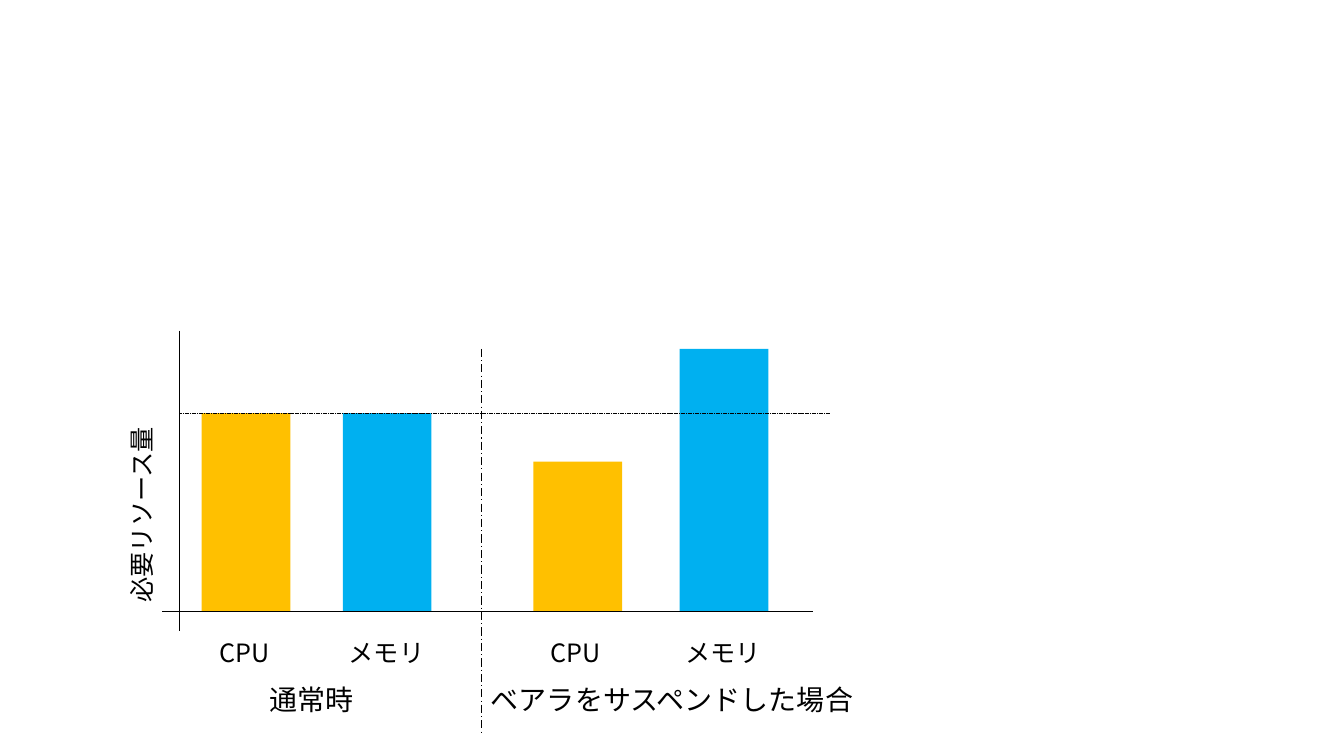
from dataclasses import dataclass

from lxml.etree import SubElement
from pptx import Presentation
from pptx.dml.color import RGBColor
from pptx.enum.dml import MSO_LINE
from pptx.enum.shapes import MSO_CONNECTOR, MSO_SHAPE
from pptx.enum.text import MSO_AUTO_SIZE
from pptx.oxml.ns import qn
from pptx.util import Inches, Pt


@dataclass(frozen=True)
class Theme:
    font: str = "Noto Sans CJK JP"
    ink: RGBColor = RGBColor(0, 0, 0)
    cpu: RGBColor = RGBColor(0xFF, 0xC0, 0x00)
    memory: RGBColor = RGBColor(0x00, 0xB0, 0xF0)
    label_size: int = 18
    case_size: int = 20


theme = Theme()

KINDS = {"CPU": (theme.cpu, 0.73), "メモリ": (theme.memory, 0.96)}
BARS = [
    ("CPU", 2.0, 1.97),
    ("メモリ", 3.4, 1.97),
    ("CPU", 5.29, 1.49),
    ("メモリ", 6.74, 2.61),
]
CASES = [("通常時", 2.57, 1.04), ("ベアラをサスペンドした場合", 4.77, 3.85)]
AXIS_TITLE = "必要リソース量"

BAR_WIDTH = 0.88
BASE = 6.07
AXIS_X = 1.78
LEVEL = BASE - BARS[0][2]
AXIS_LENGTH = 6.45
DIVIDER_X = 4.78
LABEL_TOP, LABEL_HEIGHT = 6.27, 0.4
CASE_TOP, CASE_HEIGHT = 6.72, 0.44

DIVIDER = (DIVIDER_X, 3.46, DIVIDER_X, 7.27, 0.75, MSO_LINE.LONG_DASH_DOT)
AXES = [
    (1.61, BASE, 1.61 + AXIS_LENGTH, BASE, 0.5, None),
    (AXIS_X, 3.28, AXIS_X, 6.26, 0.5, None),
    (AXIS_X, LEVEL, AXIS_X + AXIS_LENGTH, LEVEL, 0.1, MSO_LINE.LONG_DASH),
]


def add_line(s, x1, y1, x2, y2, width, dash):
    sp = s.shapes.add_connector(
        MSO_CONNECTOR.STRAIGHT, Inches(x1), Inches(y1), Inches(x2), Inches(y2)
    )
    sp.line.color.rgb = theme.ink
    sp.line.width = Pt(width)
    if dash is not None:
        sp.line.dash_style = dash
    SubElement(sp._element.spPr, qn("a:effectLst"))


def add_bar(s, left, height, color):
    sp = s.shapes.add_shape(
        MSO_SHAPE.RECTANGLE,
        Inches(left), Inches(BASE - height), Inches(BAR_WIDTH), Inches(height),
    )
    sp.shadow.inherit = False
    sp.fill.solid()
    sp.fill.fore_color.rgb = color
    sp.line.fill.background()


def add_text(s, text, left, top, width, height, size, rotation=0):
    sp = s.shapes.add_textbox(
        Inches(left), Inches(top), Inches(width), Inches(height)
    )
    sp.rotation = rotation
    tf = sp.text_frame
    tf.word_wrap = False
    tf.auto_size = MSO_AUTO_SIZE.SHAPE_TO_FIT_TEXT
    tf.text = text
    r = tf.paragraphs[0].runs[0]
    r.font.name = theme.font
    r.font.size = Pt(size)
    r.font.color.rgb = theme.ink
    SubElement(r.font._element, qn("a:ea")).set("typeface", theme.font)


prs = Presentation()
prs.slide_width, prs.slide_height = Inches(13.33), Inches(7.5)
s = prs.slides.add_slide(prs.slide_layouts[6])

add_line(s, *DIVIDER)
for kind, left, height in BARS:
    add_bar(s, left, height, KINDS[kind][0])
for kind, left, height in BARS:
    width = KINDS[kind][1]
    label_left = left + (BAR_WIDTH - width) / 2
    add_text(s, kind, label_left, LABEL_TOP, width, LABEL_HEIGHT, theme.label_size)
add_text(s, AXIS_TITLE, 0.42, 4.89, 1.97, LABEL_HEIGHT, theme.label_size, 270)
for axis in AXES:
    add_line(s, *axis)
for text, left, width in CASES:
    add_text(s, text, left, CASE_TOP, width, CASE_HEIGHT, theme.case_size)

prs.save("out.pptx")
